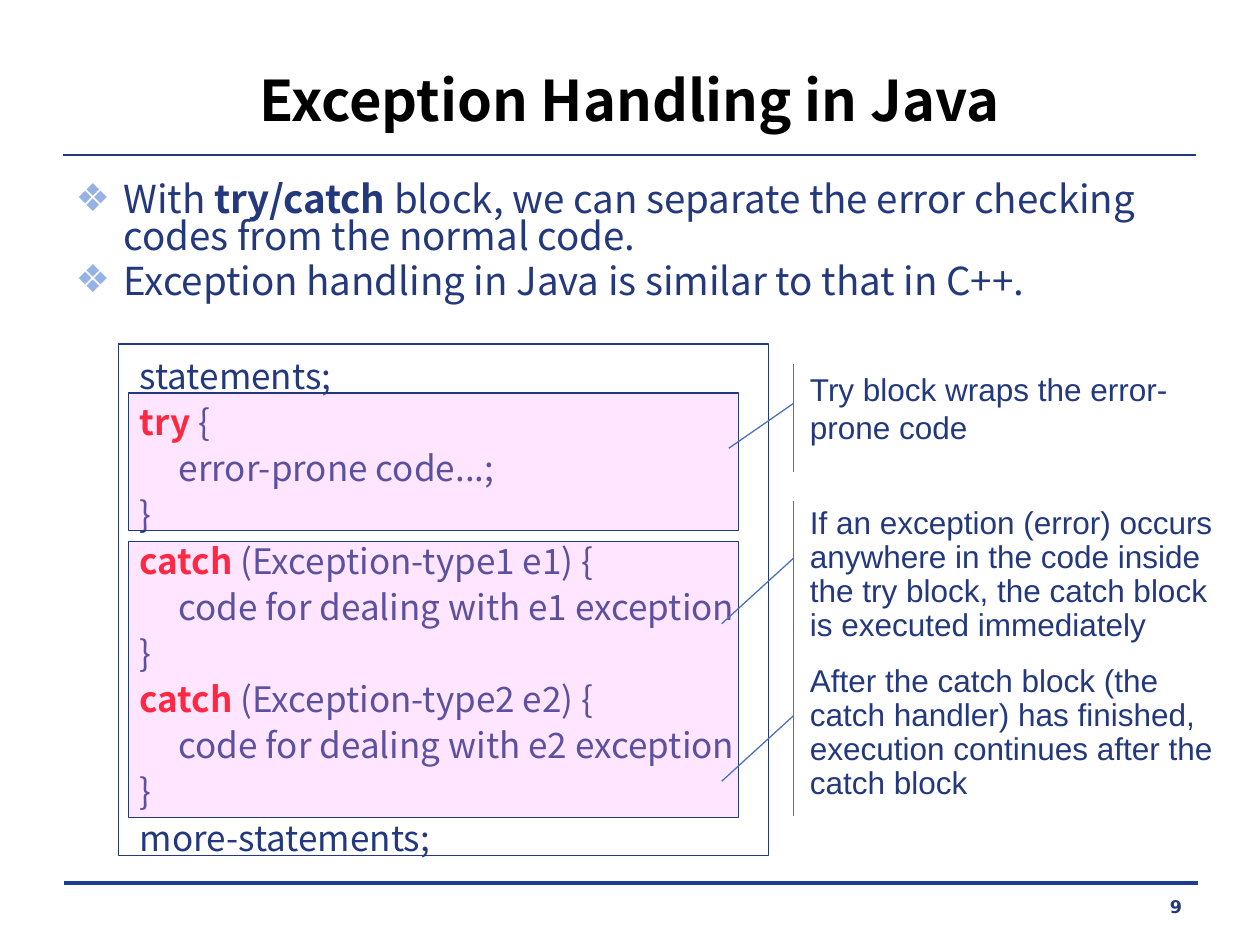
from lxml import etree
from pptx import Presentation
from pptx import util as u
from pptx.dml.color import RGBColor
from pptx.enum import shapes, text
from pptx.oxml import ns

NAVY, RED, PINK, BLUE, BULLET = "23387D", "FF0000", "FF9BFF", "4972BB", "96B1E6"
SANS = "Noto Sans CJK KR"


def rgb(value):
    return RGBColor.from_string(value)


def add_xml(parent, tag, **attrs):
    return etree.SubElement(parent, ns.qn(tag), attrs)


class SlideBuilder:
    def __init__(self, s):
        self.s = s

    def place(self, sp, box):
        sp.left, sp.top, sp.width, sp.height = [u.Inches(v) for v in box]

    def font(self, r, size, color=NAVY, name=SANS, bold=False):
        r.font.size, r.font.name, r.font.bold = u.Pt(size), name, bold
        r.font.color.rgb = rgb(color)

    def frame(self, sp, anchor=text.MSO_ANCHOR.TOP):
        tf = sp.text_frame
        tf.word_wrap = True
        tf.auto_size = text.MSO_AUTO_SIZE.NONE
        tf.vertical_anchor = anchor
        return tf

    def paragraphs(self, tf, lines, size, spacing, strong, indent):
        for i, (bold, plain, is_bold_first) in enumerate(lines):
            p = tf.paragraphs[0] if i == 0 else tf.add_paragraph()
            p.alignment = text.PP_ALIGN.LEFT
            p.line_spacing = spacing
            pPr = p._p.get_or_add_pPr()
            pPr.set("marL", str(u.Inches(0.38)))
            pPr.set("indent", str(u.Inches(indent)))
            p.text = bold + plain
            for r in p.runs:
                self.font(r, size)
            if is_bold_first:
                p.runs[0].text = bold
                self.font(p.runs[0], size, strong, bold=True)

    def title(self, box, words):
        sp = self.s.shapes.title
        self.place(sp, box)
        tf = self.frame(sp, text.MSO_ANCHOR.MIDDLE)
        tf.text = words
        self.font(tf.paragraphs[0].runs[0], 32, "000000", bold=True)

    def bullets(self, box, items):
        sp = self.s.placeholders[1]
        self.place(sp, box)
        tf = self.frame(sp)
        for i, parts in enumerate(items):
            p = tf.paragraphs[0] if i == 0 else tf.add_paragraph()
            p.line_spacing = 0.8
            self.hang(p, -0.38)
            self.runs(p, parts, 22, NAVY)
            pPr = p._p.get_or_add_pPr()
            add_xml(add_xml(pPr, "a:buClr"), "a:srgbClr", val=BULLET)
            add_xml(pPr, "a:buChar", char="❖")

    def hang(self, p, indent):
        pPr = p._p.get_or_add_pPr()
        pPr.set("marL", str(u.Inches(0.38)))
        pPr.set("indent", str(u.Inches(indent)))

    def runs(self, p, parts, size, strong):
        for words, bold in parts:
            for i, line in enumerate(words.split("\n")):
                if i:
                    p.add_line_break()
                r = p.add_run()
                r.text = line
                self.font(r, size, strong if bold else NAVY, bold=bold)

    def shape(self, kind, box, line, width, fill=None, opacity=100):
        sp = self.s.shapes.add_shape(kind, *[u.Inches(v) for v in box])
        sp.shadow.inherit = False
        sp.line.color.rgb = rgb(line)
        sp.line.width = u.Pt(width)
        if fill:
            sp.fill.solid()
            sp.fill.fore_color.rgb = rgb(fill)
            color = sp.fill._xPr.find(".//" + ns.qn("a:srgbClr"))
            add_xml(color, "a:alpha", val=str(opacity * 1000))
        else:
            sp.fill.background()
        return sp

    def code(self, box, lines):
        sp = self.shape(shapes.MSO_SHAPE.RECTANGLE, box, NAVY, 1)
        tf = self.frame(sp)
        for i, parts in enumerate(lines):
            p = tf.paragraphs[0] if i == 0 else tf.add_paragraph()
            p.alignment = text.PP_ALIGN.LEFT
            p.line_spacing = 1.1
            self.hang(p, -0.31)
            self.runs(p, parts, 20, RED)

    def highlight(self, box):
        self.shape(shapes.MSO_SHAPE.RECTANGLE, box, NAVY, 0.75, PINK, 26)

    def callout(self, box, words, spacing):
        sp = self.shape(shapes.MSO_SHAPE.LINE_CALLOUT_1_ACCENT_BAR, box, BLUE, 0.75)
        for i, value in enumerate((0.362, -0.01, 0.777, -0.175)):
            sp.adjustments[i] = value
        tf = self.frame(sp)
        tf.text = words
        p = tf.paragraphs[0]
        p.alignment = text.PP_ALIGN.LEFT
        p.line_spacing = spacing
        self.font(p.runs[0], 18, name="Arial")

    def rule(self, left, right, y, color, width):
        ends = [u.Inches(v) for v in (left, y, right, y)]
        sp = self.s.shapes.add_connector(shapes.MSO_CONNECTOR.STRAIGHT, *ends)
        sp.line.color.rgb = rgb(color)
        sp.line.width = u.Pt(width)
        add_xml(sp._element.spPr, "a:effectLst")

    def page_number(self, box, number):
        sp = self.s.shapes.add_textbox(*[u.Inches(v) for v in box])
        tf = self.frame(sp)
        tf.text = number
        p = tf.paragraphs[0]
        p.alignment = text.PP_ALIGN.RIGHT
        self.font(p.runs[0], 10, name="DejaVu Sans", bold=True)


def catch_block(n):
    head = f" (Exception-type{n} e{n}) {{\ncode for dealing with e{n} exception"
    return [[("catch", True), (head, False)], [("}", False)]]


def main():
    prs = Presentation()
    prs.slide_width, prs.slide_height = u.Inches(10), u.Inches(7.5)
    b = SlideBuilder(prs.slides.add_slide(prs.slide_layouts[1]))

    b.rule(0.51, 9.51, 7.01, "1A3D97", 0)
    b.rule(0.5, 9.49, 1.23, NAVY, 1.5)
    b.title((0.51, 0.35, 8.98, 0.88), "Exception Handling in Java")
    b.bullets((0.5, 1.41, 9.27, 1.17), [
        [("With ", False), ("try/catch ", True),
         ("block, we can separate the error checking codes from the normal code.", False)],
        [("Exception handling in Java is similar to that in C++.", False)],
    ])
    b.code((0.94, 2.73, 5.16, 4.06), [
        [("statements;", False)],
        [("try", True), (" {", False)],
        [("\terror-prone code...;", False)],
        [("}", False)],
        *catch_block(1),
        *catch_block(2),
        [("more-statements;", False)],
    ])
    for top, height in ((3.12, 1.09), (4.3, 2.19)):
        b.highlight((1.02, top, 4.84, height))
    b.callout((6.33, 2.89, 3.12, 0.86), "Try block wraps the error-prone code", 1)
    b.callout((6.33, 3.98, 3.44, 1.25), "If an exception (error) occurs anywhere in the code "
              "inside the try block, the catch block is executed immediately", 0.9)
    b.callout((6.33, 5.23, 3.44, 1.25), "After the catch block (the catch handler) has finished, "
              "execution continues after the catch block", 0.9)
    b.page_number((7.2, 7.06, 2.28, 0.24), "9")
    prs.save("out.pptx")


if __name__ == "__main__":
    main()
